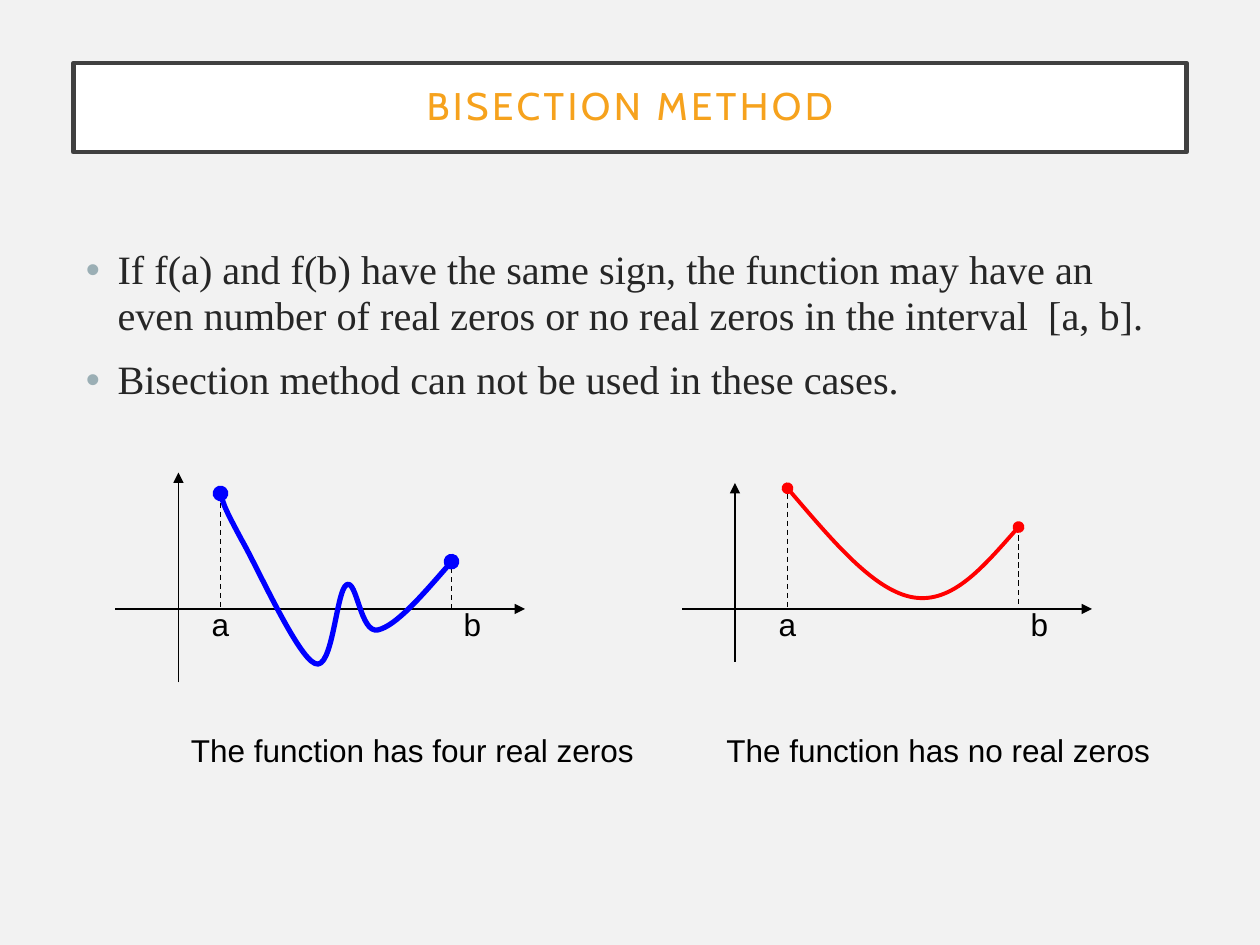
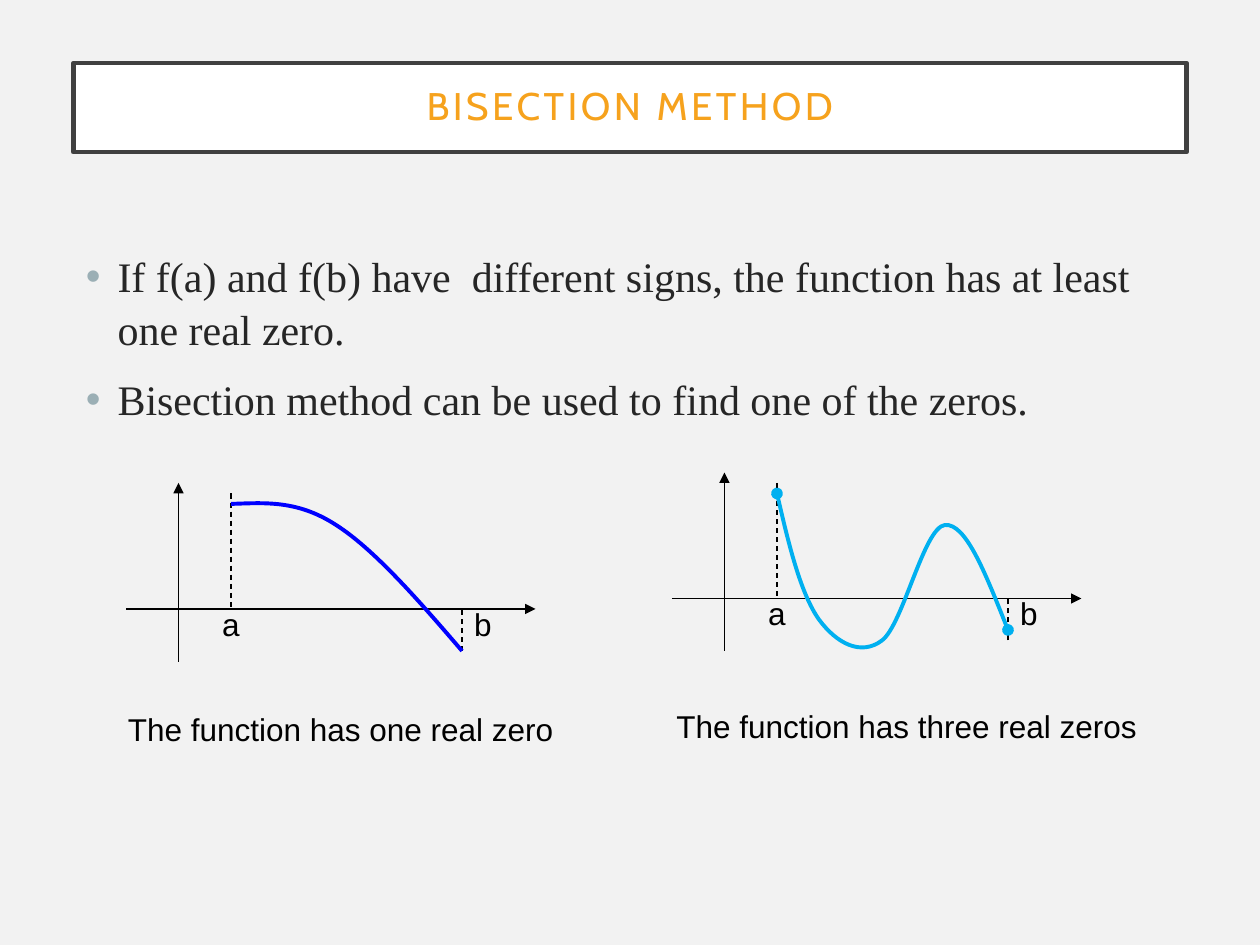
from lxml import etree
from pptx import Presentation
from pptx.dml.color import RGBColor
from pptx.enum.dml import MSO_LINE
from pptx.enum.shapes import MSO_CONNECTOR
from pptx.enum.text import MSO_ANCHOR, PP_ALIGN
from pptx.oxml.ns import qn
from pptx.util import Cm, Pt

DASH = MSO_LINE.DASH
STRAIGHT = MSO_CONNECTOR.STRAIGHT
MIDDLE = MSO_ANCHOR.MIDDLE
CENTER, LEFT, RIGHT = PP_ALIGN.CENTER, PP_ALIGN.LEFT, PP_ALIGN.RIGHT

BACKGROUND = "F2F2F2"
WHITE = "FFFFFF"
FRAME = "404040"
ORANGE = "F6A21D"
BODY = "262626"
BULLET = "9BAFB5"
BLACK = "000000"
BLUE = "0000FF"
RED = "FF0000"
SKY = "00B0F0"

AXIS_LENGTH = 39
INTERVAL = 22
TITLE = "BISECTION METHOD"


def color(hex_code):
    return RGBColor.from_string(hex_code)


def grid(steps):
    return Cm(steps * 2.54 / 12)


# Graph coordinates count twelfths of an inch.
SLIDES = [
    {
        "size": 23,
        "spacing": 0.95,
        "points": [
            "If f(a) and f(b) have the same sign, the function may have an even number "
            "of real zeros or no real zeros in the interval  [a, b].",
            "Bisection method can not be used in these cases.",
        ],
        "graphs": [
            {
                "x_axis": (11, 58), "y_axis": (17, 65, 45),
                "a": 21, "a_ends": (47, 58), "b_ends": (58, 54),
                "curve": [(21, 47), (21.2, 47.8), (21.5, 48.6), (23, 51.4),
                          (24.5, 54), (28.3, 62.5), (30, 63.2),
                          (31.7, 64), (32, 56.3), (33, 55.7),
                          (34, 55.1), (34.3, 60.4), (36, 60),
                          (37.7, 59.6), (40.3, 56.6), (43, 53.5)],
                "color": BLUE, "width": 3, "dots": True,
                "caption": "The function has four real zeros",
                "caption_at": (17, 69, 45),
            },
            {
                "x_axis": (65, 58), "y_axis": (70, 63, 46),
                "a": 75, "a_ends": (47, 58), "b_ends": (57.5, 50.5),
                "curve": [(75, 46.5), (79.2, 51.4), (83.3, 56.3), (87, 56.9),
                          (90.7, 57.5), (93.8, 53.8), (97, 50.2)],
                "color": RED, "width": 2.25, "dots": True,
                "caption": "The function has no real zeros",
                "caption_at": (68, 69, 45),
            },
        ],
    },
    {
        "size": 24,
        "spacing": 1.05,
        "points": [
            "If f(a) and f(b) have  different signs, the function has at least one real zero.",
            "Bisection method can be used to find one of the zeros.",
        ],
        "graphs": [
            {
                "x_axis": (12, 58), "y_axis": (17, 63, 46),
                "a": 22, "a_ends": (47, 58), "b_ends": (62, 58),
                "curve": [(22, 48), (25.2, 47.9), (28.3, 47.6), (32, 50),
                          (35.6, 52.3), (39.8, 57.1), (44, 62)],
                "color": BLUE, "width": 2.25, "dots": False,
                "caption": "The function has one real zero",
                "caption_at": (11, 67, 45),
            },
            {
                "x_axis": (64, 57), "y_axis": (69, 62, 45),
                "a": 74, "a_ends": (46, 57), "b_ends": (61, 57),
                "curve": [(74, 47), (75.1, 51.8), (76.3, 56.6), (78, 59),
                          (79.7, 61.3), (82, 62.5), (84, 61),
                          (86, 59.5), (88, 50.2), (90, 50),
                          (92, 49.8), (94, 55), (96, 60)],
                "color": SKY, "width": 2.25, "dots": True,
                "caption": "The function has three real zeros",
                "caption_at": (63.25, 66.75, 47),
            },
        ],
    },
]

prs = Presentation()
prs.slide_width, prs.slide_height = Cm(25.4), Cm(19.05)

for content in SLIDES:
    slide = prs.slides.add_slide(prs.slide_layouts[5])
    slide.background.fill.solid()
    slide.background.fill.fore_color.rgb = color(BACKGROUND)

    title = slide.shapes.title
    title.left, title.top, title.width, title.height = Cm(1.48), Cm(1.27), Cm(22.44), Cm(1.8)
    title.fill.solid()
    title.fill.fore_color.rgb = color(WHITE)
    title.line.color.rgb = color(FRAME)
    title.line.width = Pt(2.5)
    title_frame = title.text_frame
    title_frame.text = TITLE
    title_frame.vertical_anchor = MIDDLE
    title_frame.margin_left = title_frame.margin_right = Cm(0.5)
    title_frame.margin_top = title_frame.margin_bottom = Cm(0.5)
    heading = title_frame.paragraphs[0]
    heading.alignment = CENTER
    heading.line_spacing = 0.9
    heading.font.name, heading.font.size = "Cabin", Pt(22)
    heading.font.color.rgb = color(ORANGE)
    heading.runs[0].font.bold = False
    heading.runs[0].font.element.set("spc", "200") if hasattr(heading.runs[0].font, "element") else \
        heading.runs[0]._r.get_or_add_rPr().set("spc", "200")

    body = slide.shapes.add_textbox(Cm(1.48), Cm(4.88), Cm(22.44), Cm(11.5)).text_frame
    body.word_wrap = True
    for index, point in enumerate(content["points"]):
        paragraph = body.paragraphs[0] if index == 0 else body.add_paragraph()
        paragraph.text = point
        paragraph.line_spacing = content["spacing"]
        paragraph.space_before = Pt(10 if index else 0)
        properties = paragraph._p.get_or_add_pPr()
        properties.set("marL", str(Cm(0.64)))
        properties.set("indent", str(-Cm(0.64)))
        bullet_color = etree.SubElement(properties, qn("a:buClr"))
        etree.SubElement(bullet_color, qn("a:srgbClr"), val=BULLET)
        etree.SubElement(properties, qn("a:buFont"), typeface="Arial")
        etree.SubElement(properties, qn("a:buChar"), char="•")
        paragraph.font.name, paragraph.font.size = "Times New Roman", Pt(content["size"])
        paragraph.font.color.rgb = color(BODY)

    for graph in content["graphs"]:
        axis_left, axis_y = graph["x_axis"]
        axis_x, axis_bottom, axis_top = graph["y_axis"]
        a, b = graph["a"], graph["a"] + INTERVAL
        a_start, a_end = graph["a_ends"]
        b_start, b_end = graph["b_ends"]

        for x1, y1, x2, y2, is_axis in [
            (axis_left, axis_y, axis_left + AXIS_LENGTH, axis_y, True),
            (axis_x, axis_bottom, axis_x, axis_top, True),
            (a, a_start, a, a_end, False),
            (b, b_start, b, b_end, False),
        ]:
            rule = slide.shapes.add_connector(STRAIGHT, grid(x1), grid(y1), grid(x2), grid(y2))
            rule.line.color.rgb = color(BLACK)
            rule.line.width = Pt(0.75)
            if is_axis:
                etree.SubElement(rule.element.spPr.find(qn("a:ln")), qn("a:tailEnd"), type="triangle")
            else:
                rule.line.dash_style = DASH
            etree.SubElement(rule.element.spPr, qn("a:effectLst"))

        start, *controls = [(grid(x), grid(y)) for x, y in graph["curve"]]
        outline = slide.shapes.build_freeform(*start)
        outline.add_line_segments(controls, close=False)
        curve = outline.convert_to_shape()
        curve.shadow.inherit = False
        curve.fill.background()
        curve.line.color.rgb = color(graph["color"])
        curve.line.width = Pt(graph["width"])
        segments = curve.element.findall(".//" + qn("a:lnTo"))
        for first in range(0, len(segments), 3):
            bezier = etree.SubElement(segments[first].getparent(), qn("a:cubicBezTo"))
            for segment in segments[first:first + 3]:
                bezier.append(segment[0])
                segment.getparent().remove(segment)
        if graph["dots"]:
            for end in ("a:headEnd", "a:tailEnd"):
                etree.SubElement(curve.element.spPr.find(qn("a:ln")), qn(end), type="oval")

        caption_left, caption_top, caption_width = graph["caption_at"]
        for text, left, top, width, alignment in [
            ("a", a - 5, axis_y - 1, 7, RIGHT),
            ("b", b - 3, axis_y - 1, 7, RIGHT),
            (graph["caption"], caption_left, caption_top, caption_width, LEFT),
        ]:
            label = slide.shapes.add_textbox(grid(left), grid(top), grid(width), Cm(1.02)).text_frame
            label.word_wrap = True
            label.text = text
            line = label.paragraphs[0]
            line.alignment = alignment
            line.font.name, line.font.size = "Arial", Pt(18)
            line.font.color.rgb = color(BLACK)

prs.save("out.pptx")
